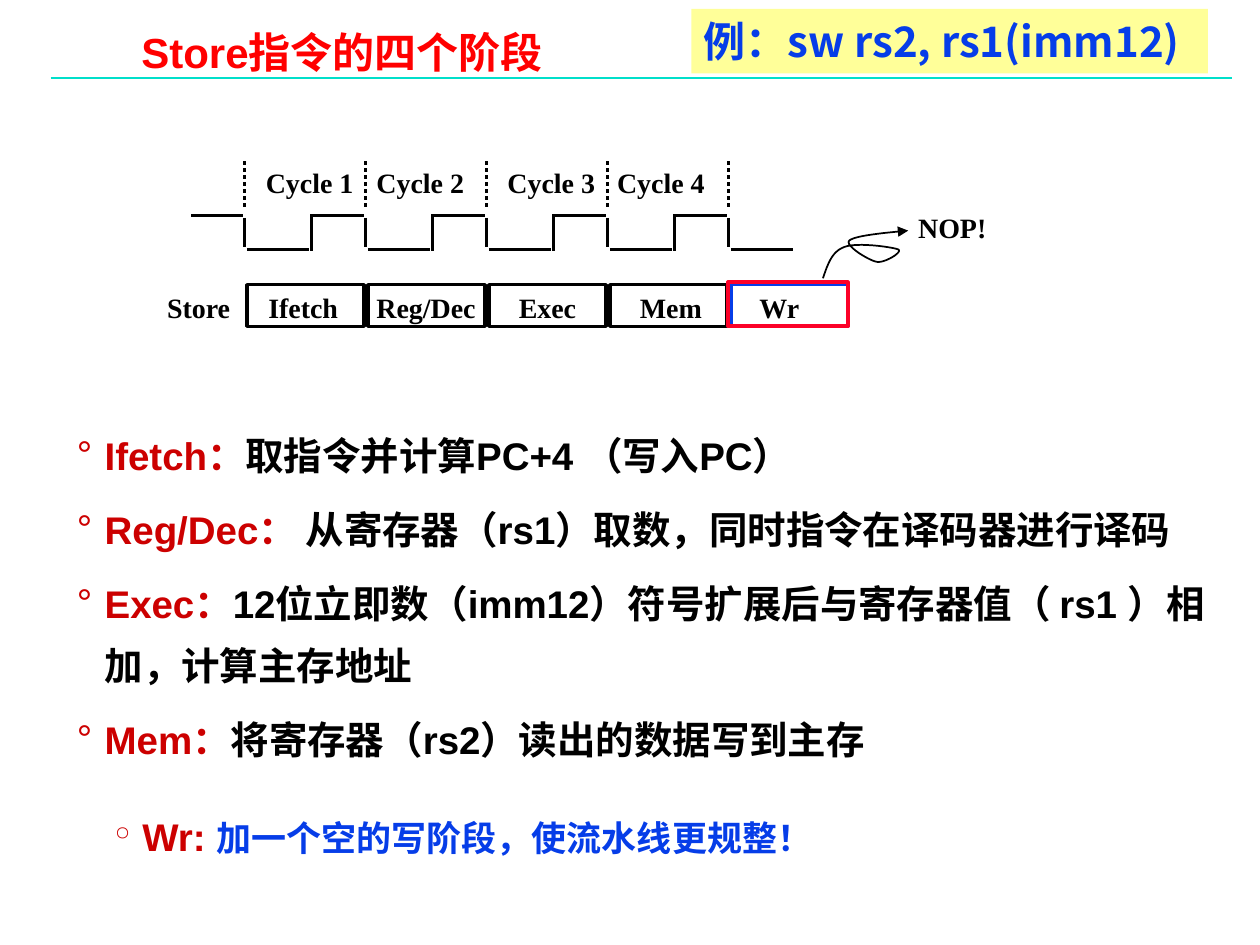
import lxml.etree
import pptx
import pptx.dml.color
import pptx.enum.dml
import pptx.enum.shapes
import pptx.enum.text
import pptx.oxml.ns
import pptx.util

Cm = pptx.util.Cm
Pt = pptx.util.Pt
qn = pptx.oxml.ns.qn
ANCHOR = pptx.enum.text.MSO_ANCHOR

BLACK, RED, DARK_RED, BLUE = "000000", "FF0000", "CC0000", "063DE8"
TEAL, CRIMSON, YELLOW = "00DFCA", "FC0128", "FFFF99"
CJK_FONT = "Noto Sans CJK SC"

# Clock and pipeline geometry, in centimetres
START, CYCLE = 4.93, 2.44
CLOCK_HIGH, CLOCK_LOW = 4.34, 5.03
STAGE_TOP, LABEL_HEIGHT = 5.72, 0.94


def color(hex_string):
    return pptx.dml.color.RGBColor.from_string(hex_string)


def add_run(paragraph, text, size=16, font="Times New Roman", fill=BLACK):
    run = paragraph.add_run()
    run.text = text
    run.font.size = Pt(size)
    run.font.bold = True
    run.font.name = font
    run.font.color.rgb = color(fill)
    east_asian = lxml.etree.SubElement(run.font._element, qn("a:ea"))
    east_asian.set("typeface", CJK_FONT)


def add_bullet(paragraph, indent=0.56):
    properties = paragraph._p.get_or_add_pPr()
    properties.set("marL", str(Cm(indent)))
    properties.set("indent", str(-Cm(indent)))
    lxml.etree.SubElement(properties, qn("a:buChar")).set("char", "°")


def bezier_points(start, segments, steps=12):
    """Sample a chain of cubic curves, each given as two controls and an end."""
    points = []
    for first, second, end in segments:
        for step in range(1, steps + 1):
            t = step / steps
            weights = ((1 - t) ** 3, 3 * t * (1 - t) ** 2, 3 * t * t * (1 - t), t ** 3)
            corners = (start, first, second, end)
            points.append(tuple(
                Cm(sum(weight * corner[axis] for weight, corner in zip(weights, corners)))
                for axis in (0, 1)))
        start = end
    return points


class SlideBuilder:
    """Holds the current slide and draws elements in its style."""

    def __init__(self, slide):
        self.slide = slide
        self.shapes = slide.shapes

    def frame(self, shape, wrap=True, margins=(0.25, 0.13), anchor=ANCHOR.TOP):
        frame = shape.text_frame
        frame.word_wrap = wrap
        frame.auto_size = pptx.enum.text.MSO_AUTO_SIZE.SHAPE_TO_FIT_TEXT
        frame.vertical_anchor = anchor
        frame.margin_left = frame.margin_right = Cm(margins[0])
        frame.margin_top = frame.margin_bottom = Cm(margins[1])
        return frame

    def placeholder(self, shape, left, top, width, height, anchor):
        shape.left, shape.top = Cm(left), Cm(top)
        shape.width, shape.height = Cm(width), Cm(height)
        return self.frame(shape, margins=(0.18, 0.08), anchor=anchor)

    def label(self, text, left, top, width, wrap=False):
        box = self.shapes.add_textbox(Cm(left), Cm(top), Cm(width), Cm(LABEL_HEIGHT))
        add_run(self.frame(box, wrap).paragraphs[0], text)

    def line(self, x1, y1, x2, y2, stroke=BLACK, width=2, dotted=False):
        connector = self.shapes.add_connector(
            pptx.enum.shapes.MSO_CONNECTOR.STRAIGHT, Cm(x1), Cm(y1), Cm(x2), Cm(y2))
        connector.line.color.rgb = color(stroke)
        connector.line.width = Pt(width)
        if dotted:
            connector.line.dash_style = pptx.enum.dml.MSO_LINE.ROUND_DOT
        lxml.etree.SubElement(connector._element.spPr, qn("a:effectLst"))

    def rectangle(self, left, top, width, height, fill=None, stroke=None, weight=2):
        shape = self.shapes.add_shape(
            pptx.enum.shapes.MSO_SHAPE.RECTANGLE, Cm(left), Cm(top), Cm(width), Cm(height))
        shape.shadow.inherit = False
        if fill:
            shape.fill.solid()
            shape.fill.fore_color.rgb = color(fill)
        else:
            shape.fill.background()
        if stroke:
            shape.line.color.rgb = color(stroke)
            shape.line.width = Pt(weight)
        else:
            shape.line.fill.background()
        return shape

    def curved_arrow(self, start, segments):
        builder = self.shapes.build_freeform(Cm(start[0]), Cm(start[1]))
        builder.add_line_segments(bezier_points(start, segments), close=False)
        shape = builder.convert_to_shape()
        shape.shadow.inherit = False
        shape.fill.background()
        shape.line.color.rgb = color(BLACK)
        shape.line.width = Pt(1)
        tail = lxml.etree.SubElement(shape.line._get_or_add_ln(), qn("a:tailEnd"))
        tail.set("type", "triangle")

    def bullets(self, frame, items, spacing, text_size=22, text_fill=BLACK):
        for index, (name, text) in enumerate(items):
            paragraph = frame.paragraphs[0] if index == 0 else frame.add_paragraph()
            add_bullet(paragraph)
            paragraph.line_spacing = spacing
            paragraph.space_before = Pt(6.5 if index else 0)
            add_run(paragraph, name, size=22, font="Arial", fill=DARK_RED)
            add_run(paragraph, text, size=text_size, font="Arial", fill=text_fill)


def draw_clock(builder):
    for index in range(-1, 5):
        edge = START + index * CYCLE
        if index >= 0:
            builder.line(edge + 0.05, CLOCK_LOW, edge + 1.3, CLOCK_LOW)
            builder.line(edge, 4.39, edge, 4.98)
            builder.line(edge, 4.17, edge, 3.18, dotted=True)
        if index < 4:
            builder.line(edge + 1.37, CLOCK_HIGH, edge + 2.41, CLOCK_HIGH)
        if 0 <= index < 4:
            builder.line(edge + 1.35, 5.05, edge + 1.35, 4.32)
    for number, left in enumerate((5.11, 7.34, 9.98, 12.19), start=1):
        builder.label(f"Cycle {number}", left, 3.2, 2.28)


def draw_stages(builder):
    builder.label("Store", 3.12, STAGE_TOP, 1.85)
    stages = (("Ifetch", 5.16, 2.1), ("Reg/Dec", 7.34, 2.62), ("Exec", 10.21, 1.75),
              ("Mem", 12.65, 1.85), ("Wr", 15.06, 1.4))
    for index, (name, left, width) in enumerate(stages):
        stroke = BLUE if name == "Wr" else BLACK
        builder.rectangle(START + index * CYCLE + 0.05, 5.74, 2.36, 0.84, stroke=stroke)
        builder.label(name, left, STAGE_TOP, width, wrap=name == "Reg/Dec")


def main():
    presentation = pptx.Presentation()
    presentation.slide_width, presentation.slide_height = Cm(25.4), Cm(19.05)
    slide = presentation.slides.add_slide(presentation.slide_layouts[1])
    builder = SlideBuilder(slide)

    builder.line(1.02, 1.57, 24.84, 1.57, stroke=TEAL, width=1)
    title = builder.placeholder(slide.shapes.title, 2.67, 0.6, 12.8, 1.02, ANCHOR.MIDDLE)
    title.paragraphs[0].alignment = pptx.enum.text.PP_ALIGN.LEFT
    title.paragraphs[0].line_spacing = 0.87
    add_run(title.paragraphs[0], "Store指令的四个阶段", size=24, font="Arial", fill=RED)

    body = builder.placeholder(slide.placeholders[1], 1.37, 8.31, 23.19, 7.34, ANCHOR.TOP)
    builder.bullets(body, (
        ("Ifetch：", "取指令并计算PC+4 （写入PC）"),
        ("Reg/Dec：", " 从寄存器（rs1）取数，同时指令在译码器进行译码"),
        ("Exec：", "12位立即数（imm12）符号扩展后与寄存器值（ rs1 ）相加，计算主存地址"),
        ("Mem：", "将寄存器（rs2）读出的数据写到主存"),
    ), spacing=1.35)

    draw_clock(builder)
    draw_stages(builder)

    write_box = slide.shapes.add_textbox(Cm(2.13), Cm(16.26), Cm(18.06), Cm(1.07))
    builder.bullets(builder.frame(write_box, margins=(0.18, 0.08)),
                    (("Wr: ", "加一个空的写阶段，使流水线更规整！"),),
                    spacing=1.05, text_size=20, text_fill=BLUE)

    builder.curved_arrow((16.59, 5.61), (
        ((16.69, 5.33), (16.76, 5.08), (17.02, 4.98)),
        ((17.27, 4.88), (17.98, 4.98), (18.11, 5.03)),
        ((18.21, 5.08), (17.83, 5.31), (17.68, 5.28)),
        ((17.53, 5.26), (17.02, 4.95), (17.12, 4.85)),
        ((17.25, 4.75), (17.78, 4.7), (18.31, 4.65)),
    ))
    builder.label("NOP!", 18.26, 4.11, 1.95)
    builder.rectangle(14.68, 5.69, 2.41, 0.89, stroke=CRIMSON, weight=2.25)

    example = builder.rectangle(13.94, 0.18, 10.41, 1.3, fill=YELLOW)
    paragraph = builder.frame(example, wrap=False, anchor=ANCHOR.MIDDLE).paragraphs[0]
    paragraph.alignment = pptx.enum.text.PP_ALIGN.LEFT
    add_run(paragraph, "例：sw rs2, rs1(imm12)", size=24, font=CJK_FONT, fill=BLUE)

    presentation.save("out.pptx")


if __name__ == "__main__":
    main()
